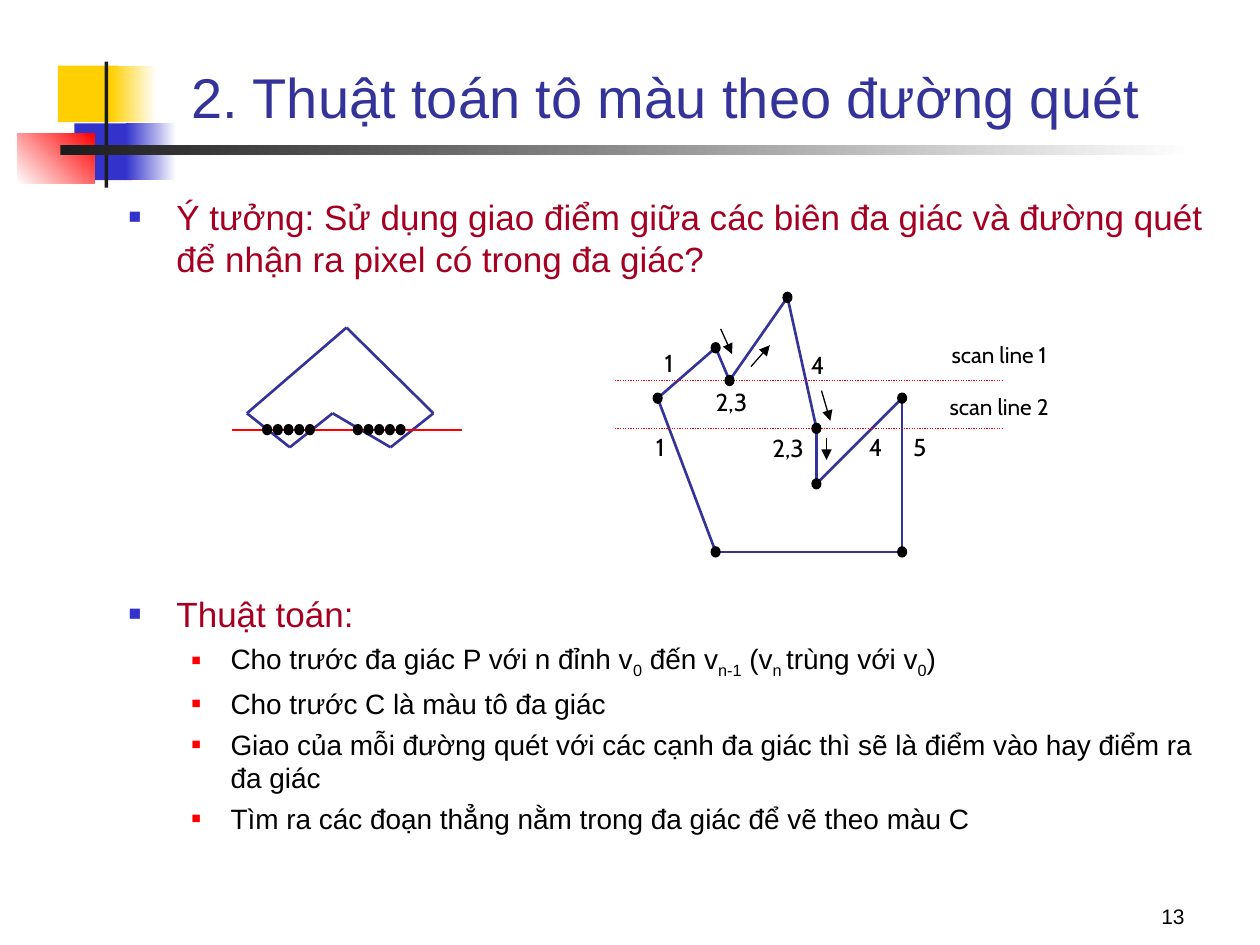
import lxml.etree
import pptx
import pptx.dml.color
import pptx.enum.dml
import pptx.enum.shapes
import pptx.enum.text
import pptx.oxml.ns
import pptx.util

INCH, POINT = pptx.util.Inches, pptx.util.Pt
ALIGN, ANCHOR = pptx.enum.text.PP_ALIGN, pptx.enum.text.MSO_ANCHOR
SHAPE = pptx.enum.shapes.MSO_SHAPE

BLACK, WHITE, NAVY, RED = "000000", "FFFFFF", "333399", "FF0000"
BLUE, YELLOW, CHARCOAL, CRIMSON = "3333CC", "FFCF01", "1C1C1C", "A50021"

# Box, colours (two make a gradient), gradient angle
DECORATION = [
    ((0.46, 0.52, 0.48, 0.45), [YELLOW], 0),
    ((0.88, 0.52, 0.36, 0.45), [YELLOW, WHITE], 0),
    ((0.59, 0.98, 0.46, 0.45), [BLUE], 0),
    ((1, 0.98, 0.4, 0.45), [BLUE, WHITE], 0),
    ((0.14, 1.06, 0.61, 0.4), [WHITE, RED], 45),
    ((0.83, 0.49, 0.03, 1), [CHARCOAL], 0),
    ((0.48, 1.15, 9, 0.08), [CHARCOAL, WHITE], 0),
]

TITLE = "2. Thuật toán tô màu theo đường quét"
# Level, space before, pieces of text; every second piece is a subscript
BODY = [
    (0, 5, ["Ý tưởng: Sử dụng giao điểm giữa các biên đa giác và đường quét "
            "để nhận ra pixel có trong đa giác?"]),
    (0, 179, ["Thuật toán:"]),
    (1, 4, ["Cho trước đa giác P với n đỉnh v", "0", " đến v", "n-1", " (v",
            "n ", "trùng với v", "0", ")"]),
    (1, 4, ["Cho trước C là màu tô đa giác"]),
    (1, 4, ["Giao của mỗi đường quét với các cạnh đa giác thì sẽ là điểm vào "
            "hay điểm ra đa giác"]),
    (1, 4, ["Tìm ra các đoạn thẳng nằm trong đa giác để vẽ theo màu C"]),
]
LEVELS = [
    {"size": 20, "color": CRIMSON, "bullet": BLUE, "percent": 60, "left": 0.38, "hang": 0.38},
    {"size": 16, "color": BLACK, "bullet": RED, "percent": 55, "left": 0.81, "hang": 0.31},
]

SMALL_POLYGON = [(1.96, 3.28), (2.75, 2.6), (3.44, 3.28), (3.1, 3.55),
                 (2.64, 3.28), (2.3, 3.55)]
SMALL_SCAN = ((1.84, 3.41), (3.67, 3.41))
PIXEL_RUN_STARTS = [(2.12, 3.41), (2.84, 3.41)]
PIXELS_PER_RUN, PIXEL_STEP = 5, 0.085

LARGE_POLYGON = [(5.22, 3.16), (5.68, 2.76), (5.79, 3.02), (6.25, 2.36), (6.48, 3.4),
                 (6.48, 3.84), (7.16, 3.16), (7.16, 4.38), (5.68, 4.38)]
LARGE_SCANS = [((4.88, y), (7.96, y)) for y in (3.02, 3.4)]
ARROWS = [((5.72, 2.61), (5.81, 2.81)), ((5.96, 2.91), (6.11, 2.74)),
          ((6.52, 3.1), (6.59, 3.34)), ((6.56, 3.48), (6.56, 3.65))]
# Text, left, top, width
CROSSING_LABELS = [
    ("1", 5.14, 2.71, 0.34), ("2,3", 5.47, 3.02, 0.67), ("4", 6.32, 2.73, 0.34),
    ("1", 5.07, 3.38, 0.34), ("2,3", 5.94, 3.39, 0.63), ("4", 6.78, 3.38, 0.34),
    ("5", 7.13, 3.38, 0.34),
]
SCAN_LABELS = [("scan line 1", 7.36, 2.68, 1.14), ("scan line 2", 7.36, 3.09, 1.14)]
DOT_WIDTH, DOT_HEIGHT, LABEL_HEIGHT = 0.07, 0.08, 0.41


def rgb(value):
    return pptx.dml.color.RGBColor.from_string(value)


def inches(values):
    return [INCH(value) for value in values]


def add_xml(parent, tag, **attributes):
    element = lxml.etree.SubElement(parent, pptx.oxml.ns.qn(tag), attributes)
    return element


def set_values(target, values):
    for name, value in values.items():
        setattr(target, name, value)


def add_run(paragraph, text, size, color, font="Arial"):
    run = paragraph.add_run()
    run.text = text
    set_values(run.font, {"name": font, "size": POINT(size)})
    run.font.color.rgb = rgb(color)
    return run


def add_line(shapes, start, end, color, width, dash=None, arrow=False):
    straight = pptx.enum.shapes.MSO_CONNECTOR.STRAIGHT
    connector = shapes.add_connector(straight, *inches(start + end))
    connector.line.color.rgb = rgb(color)
    connector.line.width = POINT(width)
    if dash:
        connector.line.dash_style = dash
    if arrow:
        add_xml(connector.line._get_or_add_ln(), "a:tailEnd", type="triangle", w="med", len="med")
    add_xml(connector._element.spPr, "a:effectLst")


def add_polygon(shapes, vertices):
    for start, end in zip(vertices, vertices[1:] + vertices[:1]):
        add_line(shapes, start, end, NAVY, 1.5)


def add_dot(shapes, x, y):
    box = (x - DOT_WIDTH / 2, y - DOT_HEIGHT / 2, DOT_WIDTH, DOT_HEIGHT)
    dot = shapes.add_shape(SHAPE.OVAL, *inches(box))
    dot.shadow.inherit = False
    dot.fill.solid()
    dot.fill.fore_color.rgb = dot.line.color.rgb = rgb(BLACK)
    dot.line.width = POINT(0.75)


def add_text(shapes, box, text, size, font, align, anchor=ANCHOR.TOP, spacing=None):
    frame = shapes.add_textbox(*inches(box)).text_frame
    set_values(frame, {"word_wrap": True, "vertical_anchor": anchor})
    paragraph = frame.paragraphs[0]
    set_values(paragraph, {"alignment": align, "line_spacing": spacing})
    add_run(paragraph, text, size, BLACK, font)


def add_decoration(shapes):
    for box, colors, angle in DECORATION:
        shape = shapes.add_shape(SHAPE.RECTANGLE, *inches(box))
        shape.shadow.inherit = False
        shape.line.fill.background()
        if len(colors) == 1:
            shape.fill.solid()
            shape.fill.fore_color.rgb = rgb(colors[0])
            continue
        shape.fill.gradient()
        shape.fill.gradient_angle = angle
        for stop, color in zip(shape.fill.gradient_stops, colors):
            stop.color.rgb = rgb(color)


def place_placeholder(placeholder, box, anchor):
    set_values(placeholder, dict(zip(("left", "top", "width", "height"), inches(box))))
    frame = placeholder.text_frame
    set_values(frame, {"word_wrap": True, "vertical_anchor": anchor,
                       "auto_size": pptx.enum.text.MSO_AUTO_SIZE.NONE})
    return frame


def fill_body(frame):
    for index, (level, space, pieces) in enumerate(BODY):
        style = LEVELS[level]
        paragraph = frame.add_paragraph() if index else frame.paragraphs[0]
        set_values(paragraph, {"level": level, "space_before": POINT(space),
                               "alignment": ALIGN.LEFT})
        properties = paragraph._p.get_or_add_pPr()
        properties.set("marL", str(INCH(style["left"])))
        properties.set("indent", str(-INCH(style["hang"])))
        add_xml(add_xml(properties, "a:buClr"), "a:srgbClr", val=style["bullet"])
        add_xml(properties, "a:buSzPct", val=str(style["percent"] * 1000))
        add_xml(properties, "a:buFont", typeface="Arial")
        add_xml(properties, "a:buChar", char="■")
        for position, piece in enumerate(pieces):
            run = add_run(paragraph, piece, style["size"], style["color"])
            if position % 2:
                run._r.get_or_add_rPr().set("baseline", "-25000")


def add_small_diagram(shapes):
    add_polygon(shapes, SMALL_POLYGON)
    add_line(shapes, *SMALL_SCAN, RED, 1)
    for x, y in PIXEL_RUN_STARTS:
        for index in range(PIXELS_PER_RUN):
            add_dot(shapes, x + index * PIXEL_STEP, y)


def add_large_diagram(shapes):
    add_polygon(shapes, LARGE_POLYGON)
    for scan in LARGE_SCANS:
        add_line(shapes, *scan, RED, 0.75, dash=pptx.enum.dml.MSO_LINE.ROUND_DOT)
    for vertex in LARGE_POLYGON:
        add_dot(shapes, *vertex)
    for labels, size, spacing in ((CROSSING_LABELS, 14, None), (SCAN_LABELS, 12.9, 0.9)):
        for text, *corner_and_width in labels:
            add_text(shapes, (*corner_and_width, LABEL_HEIGHT), text, size, "Cabin",
                     ALIGN.CENTER, spacing=spacing)
    for arrow in ARROWS:
        add_line(shapes, *arrow, BLACK, 0.75, arrow=True)


def main():
    presentation = pptx.Presentation()
    set_values(presentation, {"slide_width": INCH(10), "slide_height": INCH(7.5)})
    slide = presentation.slides.add_slide(presentation.slide_layouts[1])
    add_decoration(slide.shapes)
    title = place_placeholder(slide.shapes.title, (1.42, 0.25, 8.36, 0.83), ANCHOR.BOTTOM)
    title.paragraphs[0].alignment = ALIGN.LEFT
    add_run(title.paragraphs[0], TITLE, 32, NAVY)
    fill_body(place_placeholder(slide.placeholders[1], (0.92, 1.5, 8.88, 5.33), ANCHOR.TOP))
    add_small_diagram(slide.shapes.add_group_shape().shapes)
    add_large_diagram(slide.shapes.add_group_shape().shapes)
    add_text(slide.shapes, (8.08, 6.92, 1.42, 0.5), "13", 12, "Arial", ALIGN.RIGHT, ANCHOR.BOTTOM)
    presentation.save("out.pptx")


if __name__ == "__main__":
    main()
